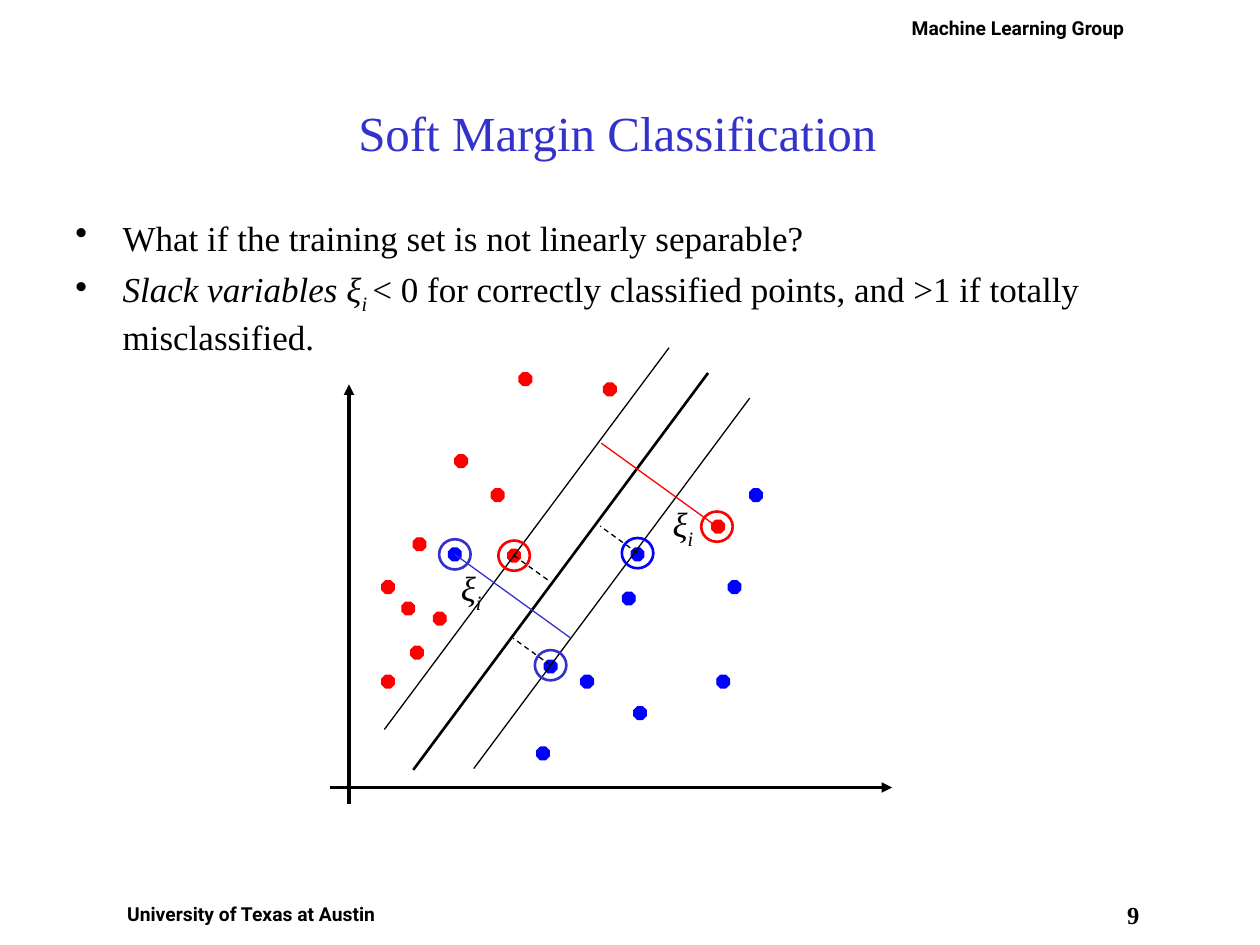
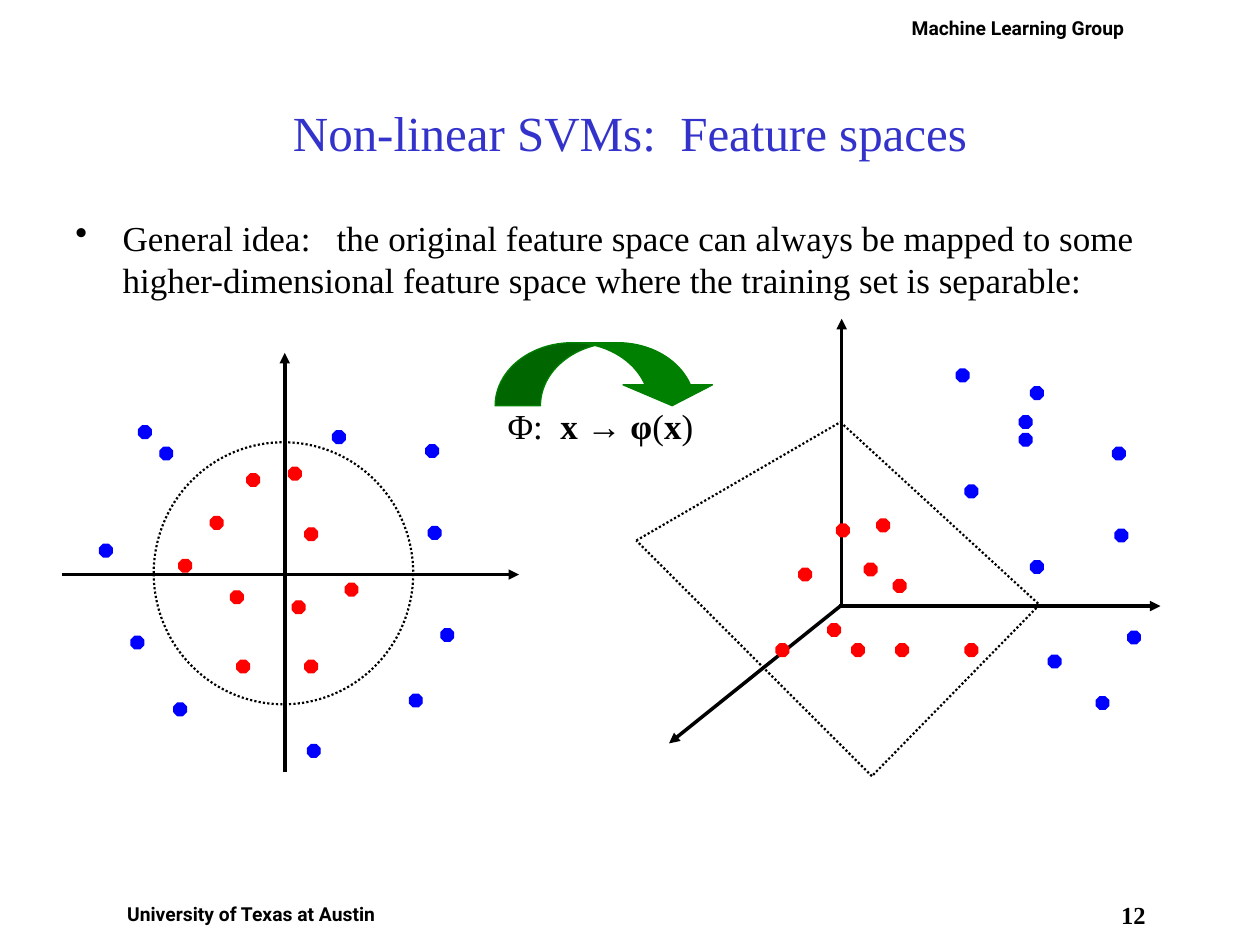
"""Build two lecture slides on soft margin classification and feature spaces."""
from itertools import pairwise
from pptx import Presentation, util as u
from pptx.dml.color import RGBColor
from pptx.enum import dml, shapes, text
from pptx.oxml.ns import qn
from lxml import etree

C = {"ink": "000000", "title": "3333CC", "red": "FF0000", "blue": "0000FF",
     "green": "008000"}
SERIF, SANS = "Times New Roman", "Roboto"
DASH, DOTTED = dml.MSO_LINE.DASH, dml.MSO_LINE.ROUND_DOT
CENTER = text.PP_ALIGN.CENTER
THIN, RING, DOTS, AXIS = 0.75, 1.5, 1.25, 2

prs = Presentation()
prs.slide_width, prs.slide_height = u.Inches(10), u.Inches(7.5)
col, row = prs.slide_width / 100, prs.slide_height / 75


def add_text(s, box, paragraphs, size, font=SERIF, color="ink", bold=False,
             align=None, inset=(1, 0.5)):
    """Write paragraphs, each a list of (wording, style) runs, in a text box."""
    x, y, w, h = box
    tf = s.shapes.add_textbox(int(x * col), int(y * row), int(w * col),
                              int(h * row)).text_frame
    tf.word_wrap = True
    tf.margin_left = tf.margin_right = int(inset[0] * col)
    tf.margin_top = tf.margin_bottom = int(inset[1] * row)
    for runs in paragraphs:
        p = tf.paragraphs[0] if runs is paragraphs[0] else tf.add_paragraph()
        p.alignment = align
        for wording, style in runs:
            marks = style.split()
            r = p.add_run()
            r.text = wording
            r.font.name, r.font.size = font, u.Pt(size)
            r.font.color.rgb = RGBColor.from_string(C[color])
            r.font.bold = bold or "bold" in marks
            r.font.italic = "italic" in marks
            if "sub" in marks:
                r.font._element.set("baseline", "-25000")
            if "gap" in marks:
                r.font._element.set("spc", str(size * 25 * marks.count("gap")))
    return tf


def add_line(s, start, end, color="ink", width=THIN, dash=None, arrow=False):
    """Draw a straight line between two grid points."""
    cx = s.shapes.add_connector(shapes.MSO_CONNECTOR.STRAIGHT, int(start[0] * col),
                                int(start[1] * row), int(end[0] * col), int(end[1] * row))
    cx.line.color.rgb = RGBColor.from_string(C[color])
    cx.line.width = u.Pt(width)
    if dash:
        cx.line.dash_style = dash
    if arrow:
        etree.SubElement(cx.line._get_or_add_ln(), qn("a:tailEnd"), type="triangle")
    etree.SubElement(cx._element.spPr, qn("a:effectLst"))


soft, spaces = [prs.slides.add_slide(prs.slide_layouts[6]) for _ in range(2)]

XI = [("ξ", "italic"), ("i", "italic sub")]
PHI = [("Φ", ""), (":", "gap"), (" ", ""), ("x → φ", "bold"), ("(", ""),
       ("x", "bold"), (")", "")]
wordings = [
    (soft, "9", 6.5, [("Soft Margin Classification", "")],
     [[("What if the training set is not linearly separable?", "")],
      [("Slack variables ξ", "italic"), ("i ", "italic sub"),
       ("< 0 for correctly classified points, and >1 if totally misclassified.", "")]]),
    (spaces, "12", 7.5,
     [("Non-linear SVMs", ""), (":", "gap"), (" Feature spaces", "")],
     [[("General idea", ""), (":", "gap gap"),
       (" the original feature space can always be mapped to some "
        "higher-dimensional feature space where the training set is separable:", "")]]),
]
for s, number, title_left, title, bullets in wordings:
    add_text(s, (88.3, 71.4, 3.3, 3.6), [[(number, "")]], 14, bold=True,
             align=CENTER, inset=(0, 0))
    for x, y, w, wording in [(8.3, 71.1, 23.3, "University of Texas at Austin"),
                             (70.8, 0.8, 20, "Machine Learning Group")]:
        add_text(s, (x, y, w, 2.9), [[(wording, "")]], 11, SANS, bold=True,
                 align=CENTER, inset=(0.5, 0.5))
    tf = add_text(s, (title_left, 4.2, 85, 12.5), [title], 28, color="title",
                  align=CENTER)
    tf.vertical_anchor = text.MSO_ANCHOR.MIDDLE
    for p in add_text(s, (5, 16.7, 90, 55), bullets, 20).paragraphs:
        p.space_before = u.Pt(5)
        pPr = p._p.get_or_add_pPr()
        hang = int(3.75 * col)
        pPr.set("marL", str(hang))
        pPr.set("indent", str(-hang))
        etree.SubElement(pPr, qn("a:buChar"), char="•")

for s, start, end in [(soft, (27.7, 63.8), (27.7, 30.5)),
                      (soft, (26.2, 62.5), (70.8, 62.5)),
                      (spaces, (22.6, 61.3), (22.6, 28)),
                      (spaces, (4.9, 45.6), (41.2, 45.6)),
                      (spaces, (66.8, 48.1), (66.8, 25.3)),
                      (spaces, (66.6, 48.1), (92.1, 48.1)),
                      (spaces, (66.7, 48.1), (53.1, 59))]:
    add_line(s, start, end, width=AXIS, arrow=True)

HERE, PLANE, SPACE, LIFTED = (0, 0), (-16.1, -1.7), (30.6, 2.4), (54.5, 0.2)
inner = {38.8: [39], 42.7: [32.8], 43.6: [40.3]}
left_pair = {46.1: [30.3], 48.6: [34.4]}
outer = {34.2: [26.4], 35.3: [33.8], 41.8: [34], 49.9: [35], 55.1: [32.5]}
clusters = [
    (soft, "red", inner, HERE), (spaces, "red", inner, PLANE),
    (spaces, "red", inner, SPACE),
    (soft, "red", left_pair, HERE), (spaces, "red", left_pair, PLANE),
    (spaces, "blue", outer, HERE), (spaces, "blue", outer, LIFTED),
    (soft, "red", {29.6: [41.2], 30.4: [47.9], 36.1: [36.1], 41.3: [56.5],
                   47.8: [31.9], 51.3: [32.6], 53.6: [30.3]}, HERE),
    (soft, "blue", {38.8: [59.5], 43.5: [35.6, 50.1], 46.1: [57.8], 47: [49.4],
                    52.4: [43.2], 53.6: [46.1, 56.9], 56.1: [50.3],
                    59.3: [42.6]}, HERE),
    (spaces, "red", {37.6: [19.6], 46.3: [27.4], 47.7: [23.2],
                     52.4: [18.8, 24.2]}, HERE),
    (spaces, "blue", {33.8: [11], 35.5: [12.7], 43.2: [7.9], 50.5: [10.4],
                      55.8: [13.8], 59.1: [24.4]}, HERE),
    (spaces, "red", {41.6: [66.4], 44.7: [68.6], 49.5: [65.7],
                     51.1: [61.6, 67.6, 71.1, 76.6]}, HERE),
    (spaces, "blue", {29.3: [75.9], 30.7: [81.8], 33: [80.9], 38.5: [76.6],
                      44.5: [81.8], 52: [83.2]}, HERE),
]
for s, color, rows, (dx, dy) in clusters:
    for y, xs in rows.items():
        for x in xs:
            sp = s.shapes.add_shape(shapes.MSO_SHAPE.OCTAGON, int((x + dx) * col),
                                    int((y + dy) * row), int(col), int(row))
            sp.shadow.inherit = False
            sp.fill.solid()
            sp.fill.fore_color.rgb = RGBColor.from_string(C[color])
            sp.line.color.rgb = RGBColor.from_string(C[color])
            sp.line.width = u.Pt(THIN)

for start, end, width in [((32.8, 61.1), (56.2, 29.6), RING),
                          ((37.6, 61), (59.5, 31.6), THIN),
                          ((30.5, 57.9), (53.1, 27.6), THIN)]:
    add_line(soft, start, end, width=width)

rings = [(spaces, 22.5, 45.5, 20.6, 20.8, "ink", DOTS, DOTTED)]
normal = (2.7, 1.95)
for x, y, ring, reach, color, dash in [(40.8, 44.1, "red", 1, "ink", DASH),
                                       (50.6, 43.9, "blue", -1.1, "ink", DASH),
                                       (43.7, 52.8, "title", -1.1, "ink", DASH),
                                       (56.9, 41.8, "red", -3.4, "red", None),
                                       (36.1, 44, "title", 3.4, "title", None)]:
    end = (x + reach * normal[0], y + reach * normal[1])
    add_line(soft, (x, y), end, color, dash=dash)
    rings.append((soft, x, y, 2.5, 2.4, ring, RING, None))
for s, x, y, w, h, color, width, dash in rings:
    sp = s.shapes.add_shape(shapes.MSO_SHAPE.OVAL, int((x - w / 2) * col),
                            int((y - h / 2) * row), int(w * col), int(h * row))
    sp.shadow.inherit = False
    sp.fill.background()
    sp.line.color.rgb = RGBColor.from_string(C[color])
    sp.line.width = u.Pt(width)
    if dash:
        sp.line.dash_style = dash

corners = [(66.7, 33.5), (82.5, 48), (69.2, 61.6), (50.5, 42.9)]
for start, end in pairwise(corners + corners[:1]):
    add_line(spaces, start, end, width=DOTS, dash=DOTTED)

sp = spaces.shapes.add_shape(shapes.MSO_SHAPE.CURVED_DOWN_ARROW, int(39.3 * col),
                             int(27.2 * row), int(17.6 * col), int(5 * row))
sp.shadow.inherit = False
for i, share in enumerate((0.72, 1.42, 0.33)):
    sp.adjustments[i] = share
sp.fill.solid()
sp.fill.fore_color.rgb = RGBColor.from_string(C["green"])
sp.line.color.rgb = RGBColor.from_string(C["green"])
sp.line.width = u.Pt(THIN)

for s, x, y, w, runs in [(soft, 52.4, 39.4, 7.7, XI), (soft, 35.6, 44.5, 7.7, XI),
                         (spaces, 39.3, 31.6, 18.4, PHI)]:
    add_text(s, (x, y, w, 4.8), [runs], 20)

prs.save("out.pptx")
